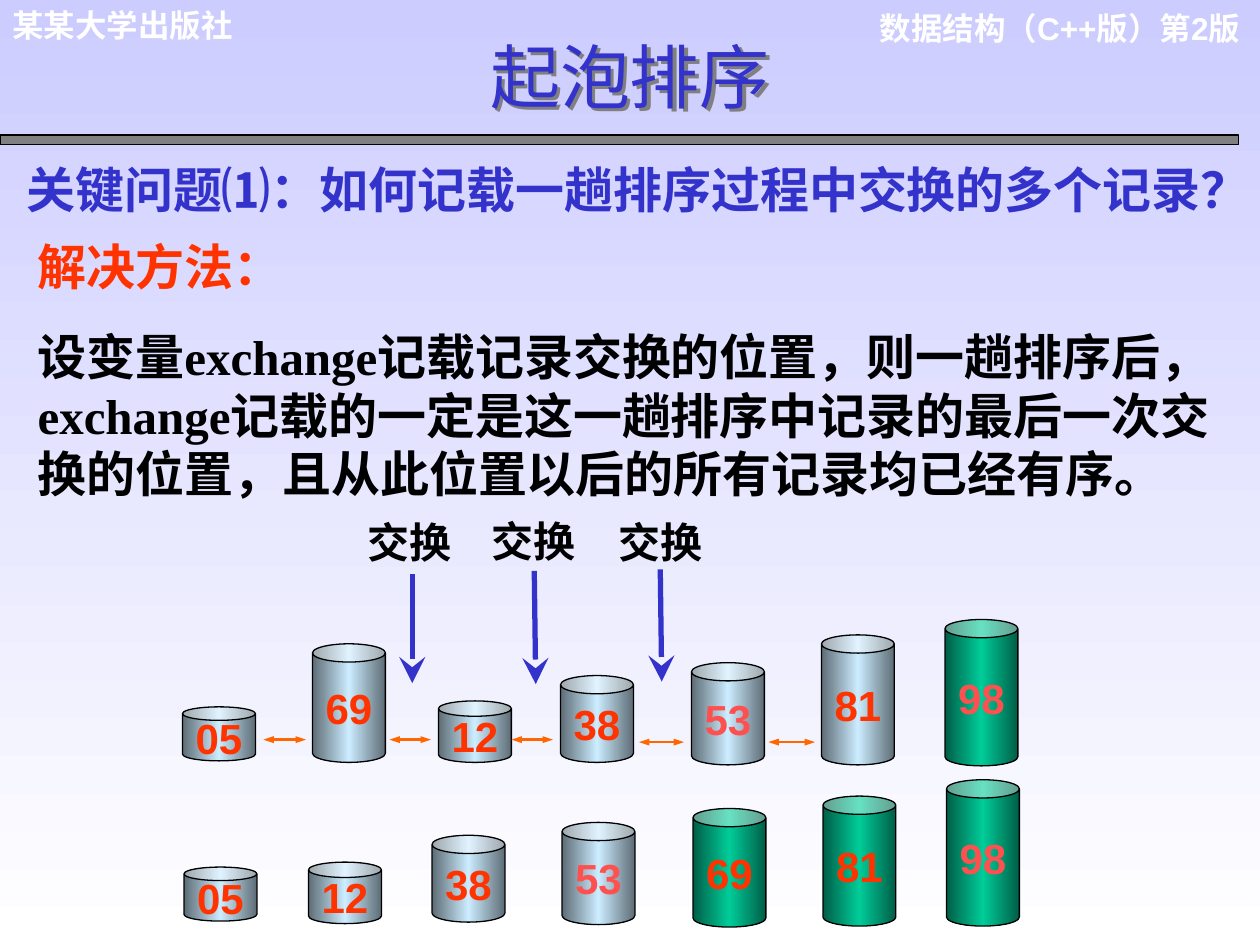
from copy import deepcopy
from dataclasses import dataclass

from lxml import etree
from pptx import Presentation
from pptx.dml.color import RGBColor as Rgb
from pptx.enum.shapes import MSO_CONNECTOR as Connector, MSO_SHAPE as Shape
from pptx.enum.text import MSO_ANCHOR as Anchor, PP_ALIGN as Align
from pptx.oxml import parse_xml
from pptx.oxml.ns import nsdecls, qn
from pptx.util import Cm, Pt


@dataclass(frozen=True)
class Theme:
    sky: tuple = ("CCCCFF", "FFFFFF")
    steel: tuple = ("5E6D76", "CCECFF", "5E6D76")
    green: tuple = ("005E47", "00CC99", "005E47")
    blue: str = "3333CC"
    red: str = "FF3300"
    pink: str = "FF5050"
    orange: str = "FF6600"
    black: str = "000000"
    white: str = "FFFFFF"
    gray: str = "808080"
    title_size: int = 40
    body_size: int = 28
    label_size: int = 24
    header_size: int = 18
    sans: str = "Arial"
    serif: str = "Times New Roman"
    title_font: str = "Lato"
    chinese: str = "Noto Sans CJK SC"


THEME = Theme()

CAN_WIDTH = 1.47
CAN_HEIGHTS = {"05": 1.09, "12": 1.24, "38": 1.75, "53": 2.06,
               "69": 2.39, "81": 2.62, "98": 2.95}


def style_paragraph(paragraph, size, color, font=THEME.sans, bold=True, align=Align.LEFT):
    paragraph.alignment = align
    paragraph.font.size = Pt(size)
    paragraph.font.bold = bold
    paragraph.font.color.rgb = Rgb.from_string(color)
    paragraph.font.name = font
    defaults = paragraph._p.pPr.find(qn("a:defRPr"))
    etree.SubElement(defaults, qn("a:ea")).set("typeface", THEME.chinese)


def add_text_box(slide, box):
    text_box = slide.shapes.add_textbox(*map(Cm, box))
    text_box.text_frame.word_wrap = True
    return text_box


def add_text(slide, box, text, size, color, **style):
    paragraph = add_text_box(slide, box).text_frame.paragraphs[0]
    paragraph.text = text
    style_paragraph(paragraph, size, color, **style)


def fill_gradient(fill, colors, angle):
    """Spread the colours evenly along the gradient."""
    fill.gradient()
    fill.gradient_angle = angle
    stop_list = fill.gradient_stops[0]._gs.getparent()
    while len(stop_list) < len(colors):
        stop_list.append(deepcopy(stop_list[0]))
    for index, (stop, color) in enumerate(zip(fill.gradient_stops, colors)):
        stop.position = index / (len(colors) - 1)
        stop.color.rgb = Rgb.from_string(color)


def add_arrow(slide, start, end, color, width, head_width, head_length, **ends):
    """Draw a line; ends maps headEnd and tailEnd to arrowhead types."""
    arrow = slide.shapes.add_connector(Connector.STRAIGHT, *map(Cm, start + end))
    arrow.line.color.rgb = Rgb.from_string(color)
    arrow.line.width = Pt(width)
    for tag, kind in ends.items():
        etree.SubElement(arrow.line._get_or_add_ln(), qn(f"a:{tag}"),
                         type=kind, w=head_width, len=head_length)
    etree.SubElement(arrow._element.spPr, qn("a:effectLst"))


def outline(shape):
    shape.shadow.inherit = False
    shape.line.color.rgb = Rgb.from_string(THEME.black)
    shape.line.width = Pt(0.75)


def add_header(slide, left, top, width):
    add_text(slide, (left + 17.2, top + 0.05, 8.05, 1.78), "数据结构（C++版）第2版",
             THEME.header_size, THEME.white, align=Align.RIGHT)
    add_text(slide, (left, top, 6.88, 1.02), "某某大学出版社",
             THEME.header_size, THEME.white)
    bar = slide.shapes.add_shape(
        Shape.RECTANGLE, *map(Cm, (left, top + 2.72, width - 0.43, 0.2)))
    bar.fill.solid()
    bar.fill.fore_color.rgb = Rgb.from_string(THEME.gray)
    outline(bar)


def add_title(slide, box):
    title = add_text_box(slide, box)
    title._element.spPr.append(parse_xml(
        f'<a:effectLst {nsdecls("a")}><a:outerShdw dist="35921" dir="2700000">'
        f'<a:srgbClr val="{THEME.gray}"/></a:outerShdw></a:effectLst>'))
    title.text_frame.vertical_anchor = Anchor.BOTTOM
    paragraph = title.text_frame.paragraphs[0]
    style_paragraph(paragraph, THEME.title_size, THEME.blue, THEME.chinese,
                    bold=False, align=Align.CENTER)
    for text, font in (("起泡", THEME.title_font), ("排序", THEME.chinese)):
        run = paragraph.add_run()
        run.text = text
        run.font.name = font


def add_solution(slide, box):
    frame = add_text_box(slide, box).text_frame
    heading = frame.paragraphs[0]
    heading.text = "解决方法："
    style_paragraph(heading, THEME.body_size, THEME.red, THEME.serif)
    body = frame.add_paragraph()
    body.text = ("设变量exchange记载记录交换的位置，则一趟排序后，"
                 "exchange记载的一定是这一趟排序中记录的最后一次交换的位置，"
                 "且从此位置以后的所有记录均已经有序。")
    body.space_before = Pt(17.5)
    style_paragraph(body, THEME.body_size, THEME.black, THEME.serif)


def add_can(slide, left, bottom, value, colors):
    height = CAN_HEIGHTS[value]
    can = slide.shapes.add_shape(
        Shape.CAN, *map(Cm, (left, bottom - height, CAN_WIDTH, height)))
    can.adjustments[0] = 0.25
    fill_gradient(can.fill, colors, 0)
    outline(can)
    frame = can.text_frame
    frame.word_wrap = False
    frame.vertical_anchor = Anchor.MIDDLE
    frame.paragraphs[0].text = value
    color = THEME.pink if value in ("53", "98") else THEME.red
    style_paragraph(frame.paragraphs[0], THEME.label_size, color, align=Align.CENTER)


def add_can_row(slide, left, bottom, cans, sorted_from):
    """Place (value, x, drop) cans; those from index sorted_from on are green."""
    for index, (value, x, drop) in enumerate(cans):
        colors = THEME.green if index >= sorted_from else THEME.steel
        add_can(slide, left + x, bottom + drop, value, colors)


def add_comparisons(slide, left, top):
    for x, y, length in ((0, 0, 0.86), (2.54, 0, 0.84), (5, 0, 0.84),
                         (7.57, 0.05, 0.91), (10.18, 0.05, 0.94)):
        add_arrow(slide, (left + x, top + y), (left + x + length, top + y),
                  THEME.orange, 1.5, "sm", "med", headEnd="triangle", tailEnd="triangle")


def add_exchange(slide, left, top, start, end):
    """Label an exchange and point down; start and end are relative to the label."""
    add_text(slide, (left, top, 3, 1.27), "交换", THEME.label_size, THEME.black)
    add_arrow(slide, (left + start[0], top + start[1]), (left + end[0], top + end[1]),
              THEME.blue, 3, "lg", "lg", tailEnd="stealth")


def main():
    presentation = Presentation()
    presentation.slide_width, presentation.slide_height = Cm(25.4), Cm(19.05)
    slide = presentation.slides.add_slide(presentation.slide_layouts[6])
    fill_gradient(slide.background.fill, THEME.sky, 270)

    add_header(slide, 0, 0, 25.4)
    add_solution(slide, (0.51, 4.65, 24.89, 5.61))
    add_text(slide, (0.28, 3.1, 25.63, 1.45),
             "关键问题⑴：如何记载一趟排序过程中交换的多个记录？",
             THEME.body_size, THEME.blue, font=THEME.chinese)
    add_can_row(slide, 3.68, 15.34, (
        ("05", 0, 0), ("69", 2.62, 0.03), ("12", 5.16, 0.03), ("38", 7.62, 0.03),
        ("53", 10.26, 0.08), ("81", 12.88, 0.08), ("98", 15.37, 0.1)), 6)
    add_comparisons(slide, 5.31, 14.91)
    add_can_row(slide, 3.71, 18.57, (
        ("05", 0, 0), ("12", 2.51, 0.05), ("38", 5, 0.02), ("53", 7.62, 0.07),
        ("69", 10.26, 0.12), ("81", 12.88, 0.1), ("98", 15.37, 0.1)), 4)
    add_exchange(slide, 7.16, 10.29, (1.15, 1.29), (1.15, 3.48))
    add_exchange(slide, 9.65, 10.26, (1.12, 1.25), (1.15, 3.53))
    add_exchange(slide, 12.22, 10.29, (1.09, 1.19), (1.12, 3.45))
    add_title(slide, (0, 0.64, 25.4, 1.85))

    presentation.save("out.pptx")


if __name__ == "__main__":
    main()
